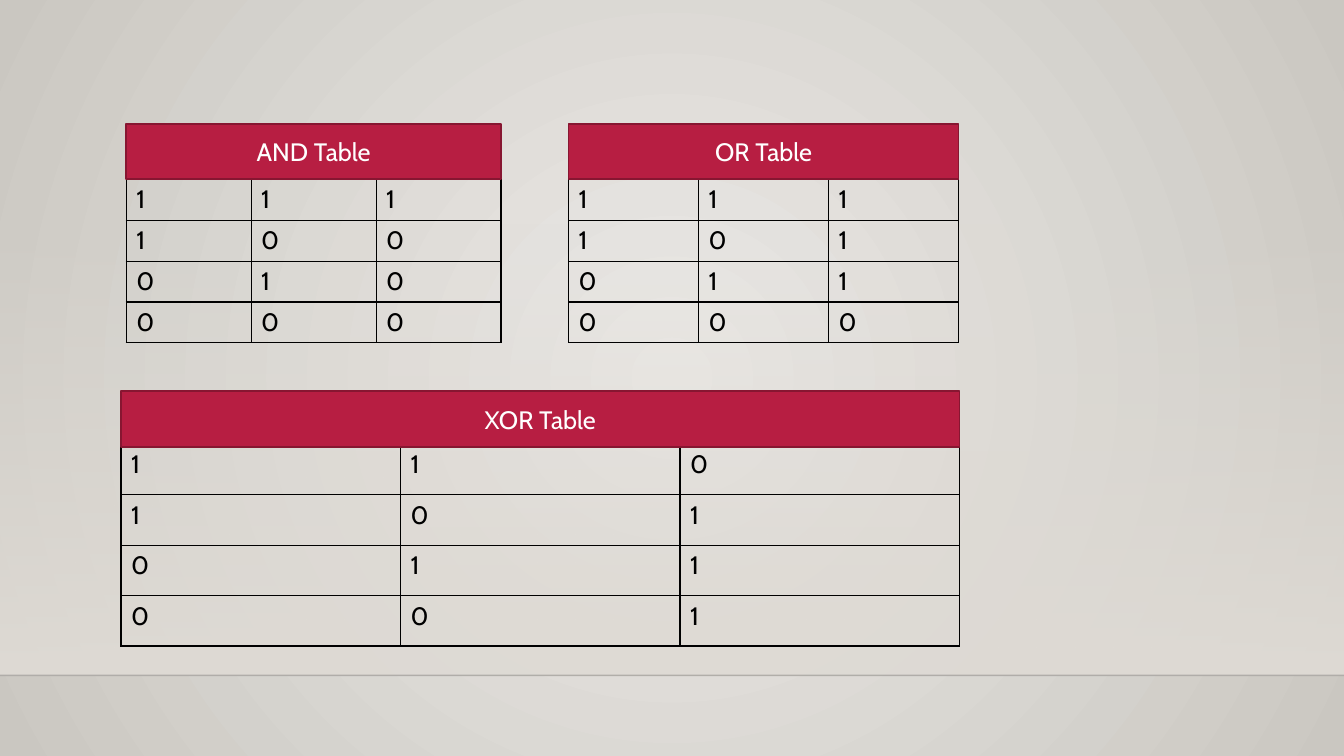
from dataclasses import dataclass

from lxml.etree import SubElement as Sub
from pptx import Presentation as Deck
from pptx.dml.color import RGBColor as Rgb
from pptx.enum.shapes import MSO_CONNECTOR as Link, MSO_SHAPE as Shape
from pptx.enum.text import MSO_ANCHOR as Anchor, PP_ALIGN as Align
from pptx.oxml.ns import qn
from pptx.util import Cm, Pt

HUES = {
    "glow": "ECEAE7", "edge": "CAC7C1", "band": "DFDBD5", "rule": "000001",
    "red": "B71E42", "rim": "871631", "ink": "000000", "white": "FFFFFF",
}
FONT = "Cabin"
WIDE, HIGH = 33.87, 19.05
FLOOR = 17.02
HEAD = 1.4
INPUTS = ("11", "10", "01", "00")


@dataclass
class Truth:
    title: str
    results: str
    left: float
    top: float
    width: float
    grid_top: float
    row: float


TABLES = [
    Truth("AND Table", "1000", 3.18, 3.12, 9.45, 4.52, 1.03),
    Truth("OR Table", "1110", 14.33, 3.12, 9.83, 4.52, 1.03),
    Truth("XOR Table", "0111", 3.05, 9.86, 21.13, 11.2, 1.27),
]


def hue(name: str) -> Rgb:
    return Rgb.from_string(HUES[name])


def fade(fill, first: str, last: str) -> None:
    fill.gradient()
    for stop, name, pos in zip(fill.gradient_stops, (first, last), (0, 1)):
        stop.color.rgb = hue(name)
        stop.position = pos


def thin(color, share: int) -> None:
    """Set the opacity of a colour element in percent."""
    Sub(color, qn("a:alpha"), val=str(share * 1000))


def style(para, name: str) -> None:
    for run in para.runs:
        run.font.name = FONT
        run.font.size = Pt(18)
        run.font.color.rgb = hue(name)


def backdrop(slide) -> None:
    # Radial background
    fade(slide.background.fill, "glow", "edge")
    grad = slide.element.find(".//" + qn("a:gradFill"))
    grad.remove(grad.find(qn("a:lin")))
    focus = Sub(Sub(grad, qn("a:path"), path="circle"), qn("a:fillToRect"))
    for side in "ltrb":
        focus.set(side, "50000")

    # Band that fades in towards the floor
    band = slide.shapes.add_shape(
        Shape.RECTANGLE, 0, Cm(5.61), Cm(WIDE), Cm(FLOOR - 5.61))
    band.shadow.inherit = False
    band.line.fill.background()
    fade(band.fill, "band", "band")
    band.fill.gradient_angle = 270
    thin(band.element.find(".//" + qn("a:srgbClr")), 0)

    # Floor line
    rule = slide.shapes.add_connector(
        Link.STRAIGHT, 0, Cm(FLOOR), Cm(WIDE), Cm(FLOOR))
    rule.line.width = Pt(1)
    rule.line.color.rgb = hue("rule")
    thin(rule.element.find(".//" + qn("a:srgbClr")), 20)
    Sub(rule.element.spPr, qn("a:effectLst"))


def frame(cell) -> None:
    props = cell._tc.get_or_add_tcPr()
    for side in ("lnL", "lnR", "lnT", "lnB"):
        line = Sub(props, qn("a:" + side), w=str(Pt(1)))
        Sub(Sub(line, qn("a:solidFill")), qn("a:srgbClr"), val=HUES["ink"])
    cell.fill.background()


def draw(slide, item: Truth) -> None:
    # Grid of inputs and results
    rows = [pair + out for pair, out in zip(INPUTS, item.results)]
    grid = slide.shapes.add_table(
        len(rows), 3, Cm(item.left), Cm(item.grid_top),
        Cm(item.width), Cm(item.row * len(rows))).table
    grid.first_row = grid.horz_banding = False
    for line, bits in zip(grid.rows, rows):
        line.height = Cm(item.row)
        for cell, bit in zip(line.cells, bits):
            cell.text_frame.text = bit
            style(cell.text_frame.paragraphs[0], "ink")
            frame(cell)

    # Heading bar
    bar = slide.shapes.add_shape(
        Shape.RECTANGLE, Cm(item.left), Cm(item.top), Cm(item.width), Cm(HEAD))
    bar.shadow.inherit = False
    bar.fill.solid()
    bar.fill.fore_color.rgb = hue("red")
    bar.line.color.rgb = hue("rim")
    bar.line.width = Pt(1.25)
    text = bar.text_frame
    text.text = item.title
    text.vertical_anchor = Anchor.MIDDLE
    text.paragraphs[0].alignment = Align.CENTER
    style(text.paragraphs[0], "white")


def main() -> None:
    deck = Deck()
    deck.slide_width, deck.slide_height = Cm(WIDE), Cm(HIGH)
    slide = deck.slides.add_slide(deck.slide_layouts[6])
    backdrop(slide)
    for item in TABLES:
        draw(slide, item)
    deck.save("out.pptx")


if __name__ == "__main__":
    main()
